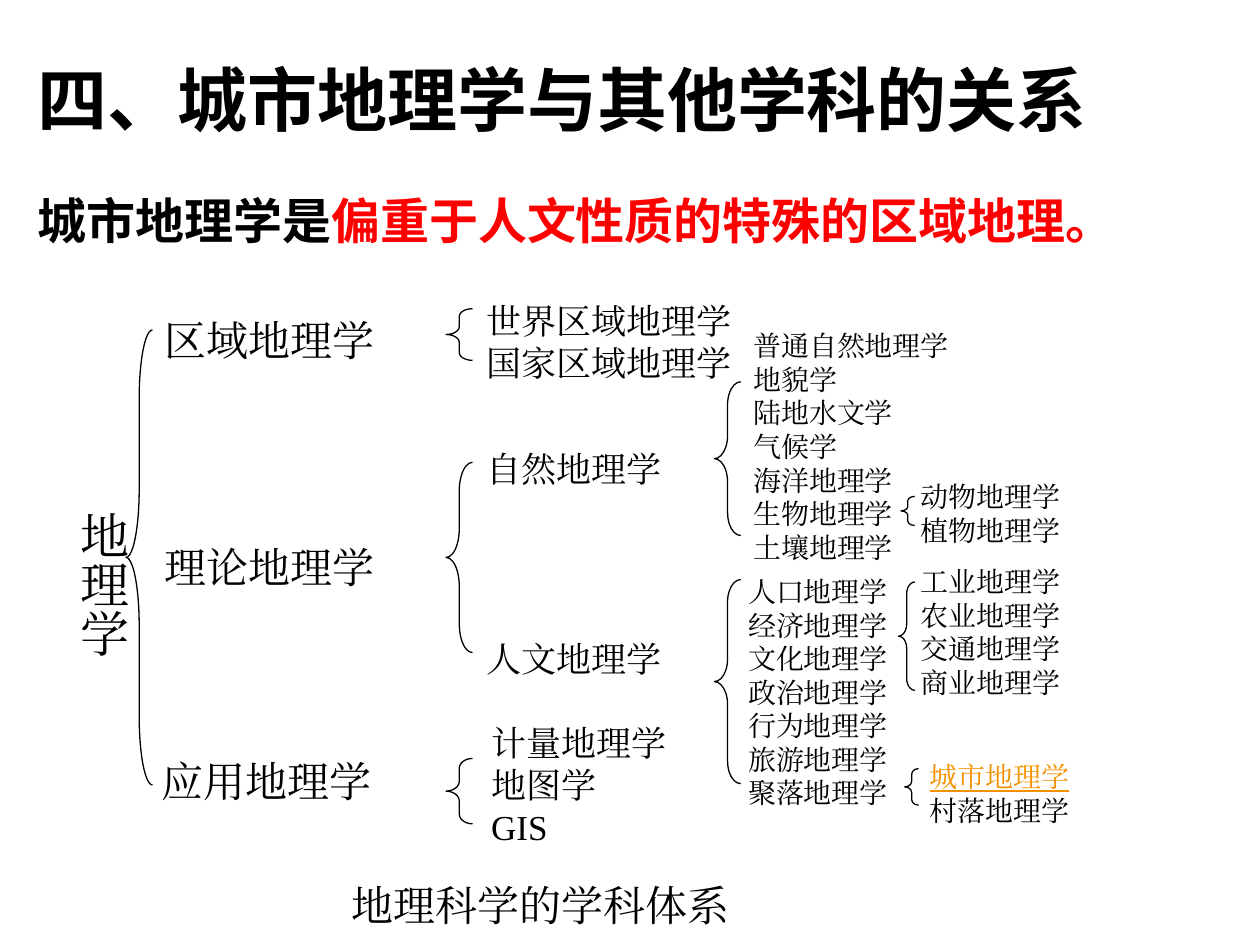
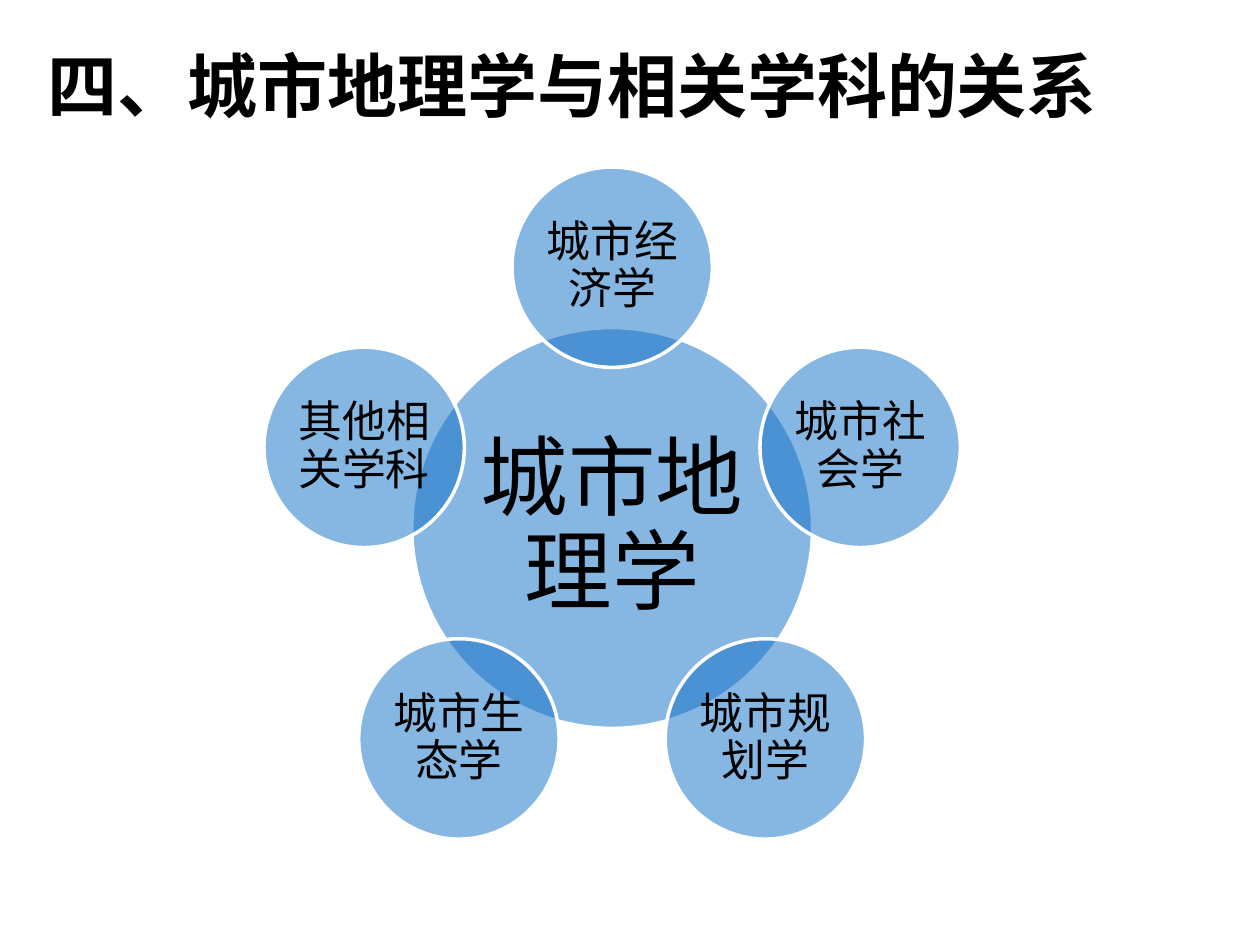
from math import cos, pi, sin

from lxml import etree
from pptx import Presentation
from pptx.dml.color import RGBColor
from pptx.enum.shapes import MSO_SHAPE
from pptx.enum.text import MSO_ANCHOR, MSO_AUTO_SIZE, PP_ALIGN
from pptx.oxml.ns import qn
from pptx.util import Pt

LEFT, CENTER = PP_ALIGN.LEFT, PP_ALIGN.CENTER
TOP, MIDDLE = MSO_ANCHOR.TOP, MSO_ANCHOR.MIDDLE
NO_FIT = MSO_AUTO_SIZE.NONE
BRACE, OVAL = MSO_SHAPE.LEFT_BRACE, MSO_SHAPE.OVAL

COLORS = {"ink": "000000", "emphasis": "FF0000", "highlight": "F49100",
          "circle": "0F6FC6", "outline": "FFFFFF"}
HEADING_FONT = "Noto Sans CJK SC"
DIAGRAM_FONT = "Times New Roman"
CIRCLE_FONT = "Vollkorn"
LINE_RATIO = 1.2
BRANCH, GROUP, LEAF = 24, 20, 16
LEAF_WIDTH = 122.4


def rgb(name):
    return RGBColor.from_string(COLORS[name])


def write(frame, lines, size, font, bold=False, color="ink", align=LEFT, anchor=TOP,
          spacing=None, inset=None, wrap=True):
    """Fill a frame; a line is a string or a list of (text, colour, underlined) runs."""
    frame.word_wrap, frame.auto_size, frame.vertical_anchor = wrap, NO_FIT, anchor
    if inset is not None:
        frame.margin_left = frame.margin_right = Pt(inset)
        frame.margin_top = frame.margin_bottom = Pt(inset)
    for index, line in enumerate(lines):
        paragraph = frame.add_paragraph() if index else frame.paragraphs[0]
        properties = paragraph._p.get_or_add_pPr()
        properties.set("marL", "0")
        properties.set("indent", "0")
        etree.SubElement(properties, qn("a:buNone"))
        paragraph.alignment = align
        paragraph.space_before = Pt(0)
        if spacing:
            paragraph.line_spacing = spacing
        runs = [(line, color, False)] if isinstance(line, str) else line
        for text, run_color, underlined in runs:
            run = paragraph.add_run()
            run.text = text
            run.font.size, run.font.name, run.font.bold = Pt(size), font, bold
            run.font.color.rgb = rgb(run_color)
            if underlined:
                run.font.underline = True
            east_asian = etree.Element(qn("a:ea"), typeface=font)
            run._r.rPr.find(qn("a:latin")).addnext(east_asian)


def place(shape, left, top, width, height):
    shape.left, shape.top, shape.width, shape.height = map(Pt, (left, top, width, height))


def add_title(slide, text, left, top, height):
    place(slide.shapes.title, left, top, 675.4, height)
    write(slide.shapes.title.text_frame, [text], 40, HEADING_FONT, bold=True)


def add_terms(slide, left, top, size, terms, width=None):
    """Stack terms in a box that is as high as its lines and, by default, as wide."""
    width = width or max(map(len, terms)) * size + 16
    height = len(terms) * size * LINE_RATIO + 7.2
    box = slide.shapes.add_textbox(Pt(left), Pt(top), Pt(width), Pt(height))
    write(box.text_frame, terms, size, DIAGRAM_FONT)


def add_brace(slide, left, top, width, height, curl=0.15):
    """Draw a left brace whose curls take the given share of its height."""
    brace = slide.shapes.add_shape(BRACE, Pt(left), Pt(top), Pt(width), Pt(height))
    brace.shadow.inherit = False
    brace.fill.background()
    brace.line.color.rgb = rgb("ink")
    brace.line.width = Pt(0.75)
    brace.adjustments[0] = curl * height / width


def add_circle(slide, center_x, center_y, diameter, text, size, inset):
    circle = slide.shapes.add_shape(OVAL, Pt(center_x - diameter / 2), Pt(center_y - diameter / 2),
                                    Pt(diameter), Pt(diameter))
    circle.shadow.inherit = False
    circle.fill.solid()
    circle.fill.fore_color.rgb = rgb("circle")
    fill_color = circle._element.spPr.find(qn("a:solidFill"))[0]
    etree.SubElement(fill_color, qn("a:alpha"), val="50000")
    circle.line.color.rgb = rgb("outline")
    circle.line.width = Pt(2)
    write(circle.text_frame, [text], size, CIRCLE_FONT, align=CENTER, anchor=MIDDLE,
          spacing=0.9, inset=inset)


def build_discipline_tree(slide):
    add_title(slide, "四、城市地理学与其他学科的关系", 14.4, 28.8, 79.2)
    statement = slide.placeholders[1]
    place(statement, 14.4, 88.6, 689, 345.6)
    write(statement.text_frame,
          [[("城市地理学是", "ink", False), ("偏重于人文性质的特殊的区域地理。", "emphasis", False)]],
          28, HEADING_FONT, bold=True, spacing=1.5)

    root = slide.shapes.add_textbox(Pt(31), Pt(285.1), Pt(48.2), Pt(136.8))
    write(root.text_frame, ["地理学"], 28, DIAGRAM_FONT)
    root.text_frame._txBody.bodyPr.set("vert", "eaVert")

    for left, top, size, terms in (
        (87.1, 176.4, BRANCH, ["区域地理学"]),
        (87.1, 306, BRANCH, ["理论地理学"]),
        (85, 428.4, BRANCH, ["应用地理学"]),
        (270.7, 167.8, GROUP, ["世界区域地理学", "国家区域地理学"]),
        (270.7, 252, GROUP, ["自然地理学"]),
        (270.7, 360.7, GROUP, ["人文地理学"]),
        (273.6, 409, GROUP, ["计量地理学", "地图学", "GIS"]),
        (423.4, 184.3, LEAF, ["普通自然地理学", "地貌学", "陆地水文学", "气候学",
                              "海洋地理学", "生物地理学", "土壤地理学"]),
        (193.7, 499, BRANCH, ["地理科学的学科体系"]),
    ):
        add_terms(slide, left, top, size, terms)

    for left, top, terms in (
        (420.5, 324.7, ["人口地理学", "经济地理学", "文化地理学", "政治地理学",
                        "行为地理学", "旅游地理学", "聚落地理学"]),
        (519.1, 270.7, ["动物地理学", "植物地理学"]),
        (519.1, 319, ["工业地理学", "农业地理学", "交通地理学", "商业地理学"]),
        (524.2, 430.6, [[("城市地理学", "highlight", True)], "村落地理学"]),
    ):
        add_terms(slide, left, top, LEAF, terms, LEAF_WIDTH)

    for left, top, width, height in (
        (72, 188.6, 15.1, 260),
        (254.9, 176.4, 15.1, 29.5),
        (254.9, 264.2, 15.1, 108.7),
        (254.9, 433.4, 15.1, 37.4),
        (408.2, 218.2, 15.1, 87.8),
        (514.8, 283.7, 7.9, 16.6),
        (517, 439.2, 7.9, 20.9),
    ):
        add_brace(slide, left, top, width, height)
    add_brace(slide, 408.2, 331.2, 15.1, 116.6, curl=0.11)
    add_brace(slide, 513.4, 332.6, 9.4, 61.9, curl=0.11)


def build_related_disciplines(slide):
    add_title(slide, "四、城市地理学与相关学科的关系", 20.2, 20.9, 116.6)
    hub_x, hub_y, orbit = 349.8, 301.7, 149
    add_circle(slide, hub_x, hub_y, 229, "城市地理学", 50, 5)
    disciplines = ["城市经济学", "城市社会学", "城市规划学", "城市生态学", "其他相关学科"]
    for index, discipline in enumerate(disciplines):
        angle = 2 * pi * index / len(disciplines)
        add_circle(slide, hub_x + orbit * sin(angle), hub_y - orbit * cos(angle),
                   114.5, discipline, 25, 2)


def main():
    deck = Presentation()
    deck.slide_width, deck.slide_height = Pt(720), Pt(540)
    title_and_content, title_only = deck.slide_layouts[1], deck.slide_layouts[5]
    build_discipline_tree(deck.slides.add_slide(title_and_content))
    build_related_disciplines(deck.slides.add_slide(title_only))
    deck.save("out.pptx")


if __name__ == "__main__":
    main()
